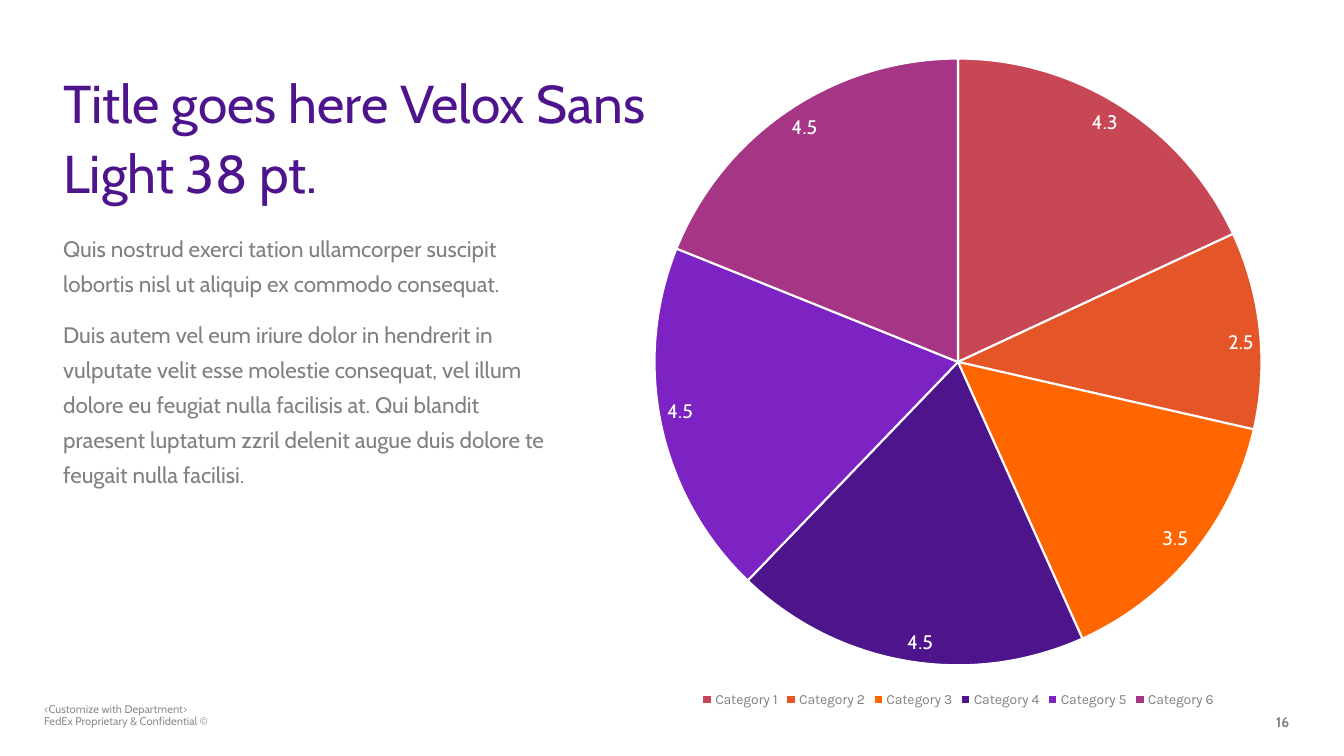
from dataclasses import dataclass

from lxml import etree
from pptx import Presentation
from pptx import util as u
from pptx.chart.data import CategoryChartData
from pptx.dml.color import RGBColor
from pptx.enum import chart as ch
from pptx.oxml.ns import qn


@dataclass(frozen=True)
class Theme:
    font: str = "Cabin"
    legend_font: str = "Karla"
    purple: str = "4D148C"
    gray: str = "808080"
    footer_gray: str = "8E8E8E"
    white: str = "FFFFFF"
    slices: tuple = ("C74755", "E45528", "FF6600", "4D148C", "7D22C3", "A63685")
    title: int = 38
    body: int = 16
    label: int = 14
    small: int = 10
    footer: int = 8


THEME = Theme()
WIDTH, HEIGHT = u.Inches(13.33), u.Inches(7.5)


def area(left, top, width, height):
    """Turn percentages of the slide's size into lengths."""
    return [u.Emu(round(share * side / 100)) for share, side in
            ((left, WIDTH), (top, HEIGHT), (width, WIDTH), (height, HEIGHT))]


def style_font(font, size, color, name=THEME.font, bold=False):
    font.size, font.name, font.bold = u.Pt(size), name, bold
    font.color.rgb = RGBColor.from_string(color)


def add_text(page, place, paragraphs, size, color, spacing=1.0, after=0,
             inset=True, bold=False):
    frame = page.shapes.add_textbox(*area(*place)).text_frame
    frame.word_wrap = True
    if not inset:
        frame.margin_left = frame.margin_top = 0
        frame.margin_right = frame.margin_bottom = 0
    frame.text = "\n".join(paragraphs)
    for para in frame.paragraphs:
        para.line_spacing = spacing
        para.space_after = u.Pt(after)
        style_font(para.font, size, color, bold=bold)


def set_plot_area(chart, **shares):
    """Fix the inner plot area as shares of the chart's size."""
    plot_area = chart._chartSpace.chart.plotArea
    for old in plot_area.findall(qn("c:layout")):
        plot_area.remove(old)
    layout = etree.Element(qn("c:layout"))
    manual = etree.SubElement(layout, qn("c:manualLayout"))
    settings = {"layoutTarget": "inner", "xMode": "edge", "yMode": "edge", **shares}
    for name, value in settings.items():
        etree.SubElement(manual, qn(f"c:{name}")).set("val", str(value))
    plot_area.insert(0, layout)


def add_pie(page, place, values):
    data = CategoryChartData()
    data.categories = [f"Category {n}" for n in range(1, len(values) + 1)]
    data.add_series("Series 1", values)
    chart = page.shapes.add_chart(ch.XL_CHART_TYPE.PIE, *area(*place), data).chart
    chart.has_title = False
    style_font(chart.font, THEME.small, THEME.gray)
    chart.has_legend = True
    chart.legend.position = ch.XL_LEGEND_POSITION.BOTTOM
    chart.legend.include_in_layout = False
    style_font(chart.legend.font, THEME.small, THEME.gray, THEME.legend_font)

    plot = chart.plots[0]
    plot.vary_by_categories = True
    plot.has_data_labels = True
    labels = plot.data_labels
    labels.show_value, labels.show_percentage = True, False
    labels.position = ch.XL_LABEL_POSITION.INSIDE_END
    style_font(labels.font, THEME.label, THEME.white)
    for index, color in enumerate(THEME.slices):
        part = plot.series[0].points[index].format
        part.fill.solid()
        part.fill.fore_color.rgb = RGBColor.from_string(color)
        part.line.color.rgb = RGBColor.from_string(THEME.white)
        part.line.width = u.Pt(1.5)
    set_plot_area(chart, x=0.027, y=0.021, w=0.945, h=0.91)


def main():
    deck = Presentation()
    deck.slide_width, deck.slide_height = WIDTH, HEIGHT
    page = deck.slides.add_slide(deck.slide_layouts[6])

    add_text(page, (4.7, 8.4, 44.4, 16.13),
             ["Title goes here Velox Sans Light 38 pt."],
             THEME.title, THEME.purple, spacing=1.1, inset=False)
    add_text(page, (4.7, 30, 35.93, 57.73),
             ["Quis nostrud exerci tation ullamcorper suscipit lobortis nisl ut "
              "aliquip ex commodo consequat.",
              "Duis autem vel eum iriure dolor in hendrerit in vulputate velit esse "
              "molestie consequat, vel illum dolore eu feugiat nulla facilisis at. "
              "Qui blandit praesent luptatum zzril delenit augue duis dolore te "
              "feugait nulla facilisi."],
             THEME.body, THEME.gray, spacing=1.3, after=12, inset=False)
    add_text(page, (94.22, 93.73, 3, 2.67), ["16"],
             THEME.small, THEME.gray, bold=True)
    add_pie(page, (47.41, 5.87, 47.79, 88.27), (4.3, 2.5, 3.5, 4.5, 4.5, 4.5))
    add_text(page, (2.55, 92.4, 29.11, 4),
             ["<Customize with Department>\vFedEx Proprietary & Confidential ©"],
             THEME.footer, THEME.footer_gray, spacing=0.9)
    deck.save("out.pptx")


if __name__ == "__main__":
    main()
